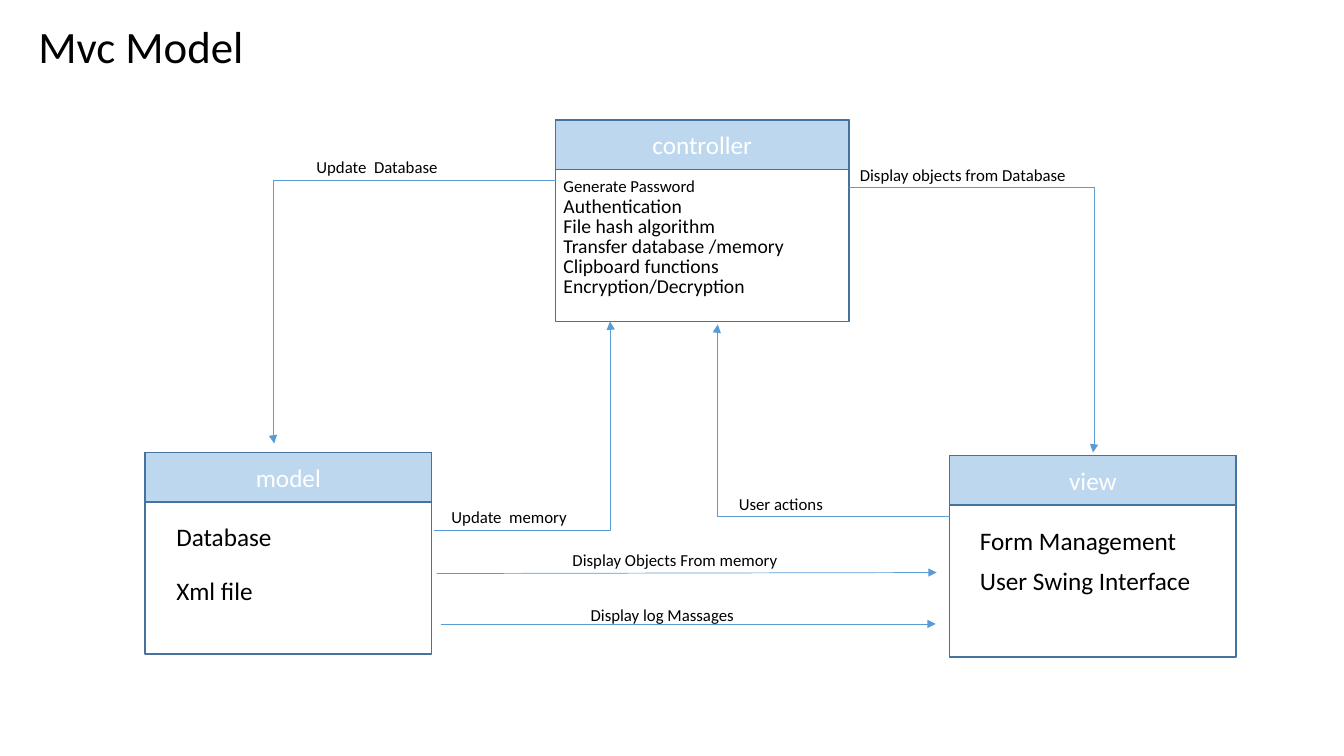
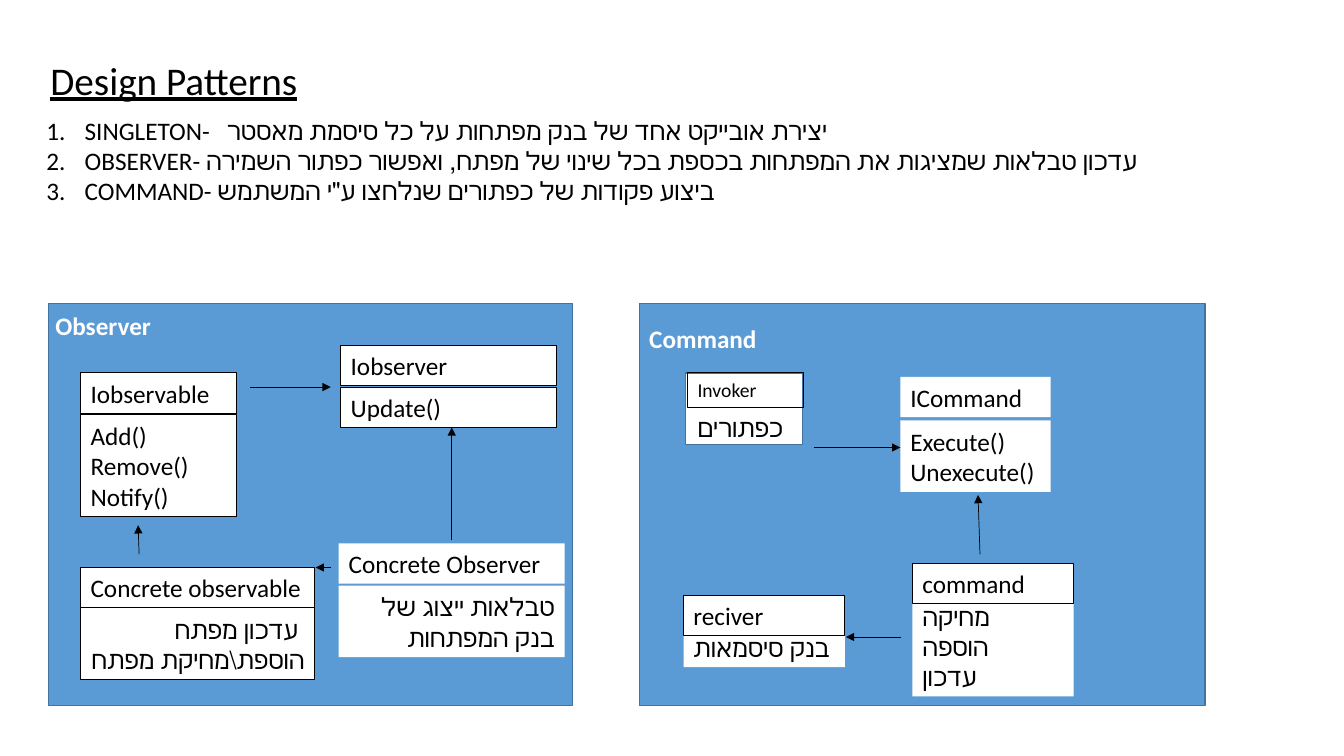
import pptx
import pptx.util
import pptx.dml.color
import pptx.enum.shapes
import pptx.enum.text
import pptx.oxml
import lxml.etree

Inches = pptx.util.Inches
Pt = pptx.util.Pt
color = pptx.dml.color.RGBColor.from_string
Align = pptx.enum.text.PP_ALIGN
Anchor = pptx.enum.text.MSO_ANCHOR
Connector = pptx.enum.shapes.MSO_CONNECTOR
qn = pptx.oxml.ns.qn

FONT = "Calibri"
BLACK, WHITE = "000000", "FFFFFF"
BLUE, DARK_BLUE, PALE_BLUE = "5B9BD5", "43739E", "BDD7EE"


def add_box(page, place, lines=(), size=18, ink=BLACK, fill=None, edge=None,
            edge_width=1, align=Align.LEFT, anchor=Anchor.TOP, bold=False):
    area = [Inches(length) for length in place]
    if fill or edge:
        box = page.shapes.add_shape(pptx.enum.shapes.MSO_SHAPE.RECTANGLE, *area)
        box.shadow.inherit = False
    else:
        box = page.shapes.add_textbox(*area)
    if fill:
        box.fill.solid()
        box.fill.fore_color.rgb = color(fill)
    else:
        box.fill.background()
    if edge:
        box.line.color.rgb = color(edge)
        box.line.width = Pt(edge_width)
    else:
        box.line.fill.background()
    frame = box.text_frame
    frame.word_wrap = True
    frame.vertical_anchor = anchor
    frame.text = "\n".join(lines)
    for para in frame.paragraphs:
        para.alignment = align
        para.font.name = FONT
        para.font.size = Pt(size)
        para.font.bold = bold
        para.font.color.rgb = color(ink)


def add_arrow(page, start, end, ink, kind=Connector.STRAIGHT):
    points = [Inches(length) for length in (*start, *end)]
    arrow = page.shapes.add_connector(kind, *points)
    arrow.line.color.rgb = color(ink)
    arrow.line.width = Pt(0.5)
    lxml.etree.SubElement(arrow.get_or_add_ln(), qn("a:tailEnd"), type="triangle")
    properties = arrow.element.spPr
    lxml.etree.SubElement(properties, qn("a:effectLst"))
    if kind == Connector.ELBOW:
        guides = properties.find(qn("a:prstGeom")).find(qn("a:avLst"))
        lxml.etree.SubElement(guides, qn("a:gd"), name="adj1", fmla="val 100400")


deck = pptx.Presentation()
deck.slide_width = Inches(13.33)
deck.slide_height = Inches(7.5)

pages = []
for layout, title_text, left, top, height, size, underline in (
    (5, "Mvc Model", 0.28, 0.13, 0.64, 32, False),
    (1, "Design Patterns", 0.4, 0.5, 0.58, 28, True),
):
    page = deck.slides.add_slide(deck.slide_layouts[layout])
    title = page.shapes.title
    title.left, title.top = Inches(left), Inches(top)
    title.width, title.height = Inches(4), Inches(height)
    title.text_frame.text = title_text
    title.text_frame.auto_size = pptx.enum.text.MSO_AUTO_SIZE.NONE
    para = title.text_frame.paragraphs[0]
    para.alignment = Align.LEFT
    para.font.name = FONT
    para.font.size = Pt(size)
    para.font.underline = underline
    para.font.color.rgb = color(BLACK)
    pages.append(page)
mvc_page, patterns_page = pages

for name, left, top, width in (
    ("model", 1.44, 4.49, 2.84),
    ("controller", 5.51, 1.19, 2.91),
    ("view", 9.42, 4.52, 2.84),
):
    add_box(mvc_page, (left, top, width, 2), fill=WHITE, edge=DARK_BLUE)
    add_box(mvc_page, (left, top, width, 0.49), [name], ink=WHITE, fill=PALE_BLUE,
            edge=DARK_BLUE, align=Align.CENTER, anchor=Anchor.MIDDLE)

for duty, left, top in (
    ("Database", 1.65, 5.12),
    ("Xml file", 1.65, 5.66),
    ("Form Management", 9.62, 5.16),
    ("User Swing Interface", 9.62, 5.56),
):
    add_box(mvc_page, (left, top, 2.62, 0.4), [duty])

controller_duties = ("Authentication", "File hash algorithm", "Transfer database /memory",
                     "Clipboard functions", "Encryption/Decryption")
for row, duty in enumerate(controller_duties):
    add_box(mvc_page, (5.49, 1.87 + 0.2 * row, 2.9, 0.34), [duty], size=14)

for label, left, top in (
    ("Generate Password", 5.49, 1.69),
    ("Update  Database", 3.04, 1.51),
    ("Display objects from Database", 8.43, 1.59),
    ("Update  memory", 4.38, 4.98),
    ("User actions", 7.23, 4.85),
    ("Display Objects From memory", 5.58, 5.4),
    ("Display log Massages", 5.76, 5.95),
):
    add_box(mvc_page, (left, top, 2.5, 0.3), [label], size=12)

for start, end in (
    ((5.51, 1.79), (2.72, 4.4)),
    ((8.42, 1.86), (10.84, 4.49)),
    ((9.42, 5.12), (7.12, 3.22)),
    ((4.3, 5.26), (6.05, 3.19)),
):
    add_arrow(mvc_page, start, end, BLUE, Connector.ELBOW)
for start, end in (((4.33, 5.69), (9.29, 5.68)), ((4.37, 6.19), (9.28, 6.19))):
    add_arrow(mvc_page, start, end, BLUE)

summary = patterns_page.placeholders[1]
summary.left, summary.top = Inches(0.36), Inches(1.09)
summary.width, summary.height = Inches(11.86), Inches(1.01)
summary.text_frame.text = "\n".join((
    "SINGLETON-   יצירת אובייקט אחד של בנק מפתחות על כל סיסמת מאסטר",
    "OBSERVER- עדכון טבלאות שמציגות את המפתחות בכספת בכל שינוי של מפתח, ואפשור כפתור השמירה",
    "COMMAND- ביצוע פקודות של כפתורים שנלחצו ע\"י המשתמש",
))
summary.text_frame.auto_size = pptx.enum.text.MSO_AUTO_SIZE.NONE
for para in summary.text_frame.paragraphs:
    para.space_before = Pt(0)
    para.font.name = FONT
    para.font.size = Pt(18)
    para.font.color.rgb = color(BLACK)
    settings = para._p.get_or_add_pPr()
    settings.set("marL", str(Inches(0.38)))
    settings.set("indent", str(Inches(-0.38)))
    numbering = lxml.etree.Element(qn("a:buAutoNum"), type="arabicPeriod")
    settings.find(qn("a:defRPr")).addprevious(numbering)

for name, left, width, label_left, label_top in (
    ("Observer", 0.48, 5.2, 0.45, 3.03),
    ("Command", 6.34, 5.61, 6.34, 3.16),
):
    add_box(patterns_page, (left, 3.01, width, 3.99), fill=BLUE, edge=DARK_BLUE)
    add_box(patterns_page, (label_left, label_top, 1.62, 0.4), [name], ink=WHITE, bold=True)

add_box(patterns_page, (6.8, 3.7, 1.16, 0.71), fill=WHITE, edge=DARK_BLUE)
add_box(patterns_page, (6.82, 4.04, 1.15, 0.4), ["כפתורים"])
add_box(patterns_page, (6.82, 3.7, 1.15, 0.34), ["Invoker"], size=14,
        edge=BLACK, edge_width=0.75)

for name, left, top, width, body_top, body_height, members, name_edge, body_edge, align in (
    ("Iobservable", 0.8, 3.7, 1.55, 4.11, 1.01, ["Add()", "Remove()", "Notify()"],
     BLACK, BLACK, Align.LEFT),
    ("Iobserver", 3.38, 3.43, 2.14, 3.84, 0.4, ["Update()"], BLACK, BLACK, Align.LEFT),
    ("Concrete observable", 0.8, 5.63, 2.32, 6.03, 0.71,
     ["עדכון מפתח ", "הוספת\\מחיקת מפתח"], BLACK, BLACK, Align.RIGHT),
    ("Concrete Observer", 3.36, 5.39, 2.24, 5.81, 0.71,
     ["טבלאות ייצוג של בנק המפתחות"], None, None, Align.RIGHT),
    ("ICommand", 8.93, 3.74, 1.49, 4.17, 0.71, ["Execute()", "Unexecute()"],
     None, None, Align.LEFT),
    ("command", 9.05, 5.59, 1.6, 5.6, 1.31, ["מחיקה", "הוספה", "עדכון"],
     BLACK, None, Align.LEFT),
    ("reciver", 6.78, 5.91, 1.6, 5.91, 0.71, ["בנק סיסמאות"], BLACK, None, Align.LEFT),
):
    add_box(patterns_page, (left, body_top, width, body_height), members, fill=WHITE,
            edge=body_edge, edge_width=0.75, align=align, anchor=Anchor.BOTTOM)
    add_box(patterns_page, (left, top, width, 0.4), [name], fill=WHITE,
            edge=name_edge, edge_width=0.75)

for start, end in (
    ((1.38, 5.5), (1.37, 5.21)),
    ((2.48, 3.84), (3.28, 3.84)),
    ((4.48, 5.36), (4.48, 4.24)),
    ((3.28, 5.63), (3.13, 5.63)),
    ((8.94, 6.32), (8.39, 6.32)),
    ((8.07, 4.44), (8.93, 4.44)),
    ((9.72, 5.5), (9.7, 4.91)),
):
    add_arrow(patterns_page, start, end, BLACK)

deck.save("out.pptx")
